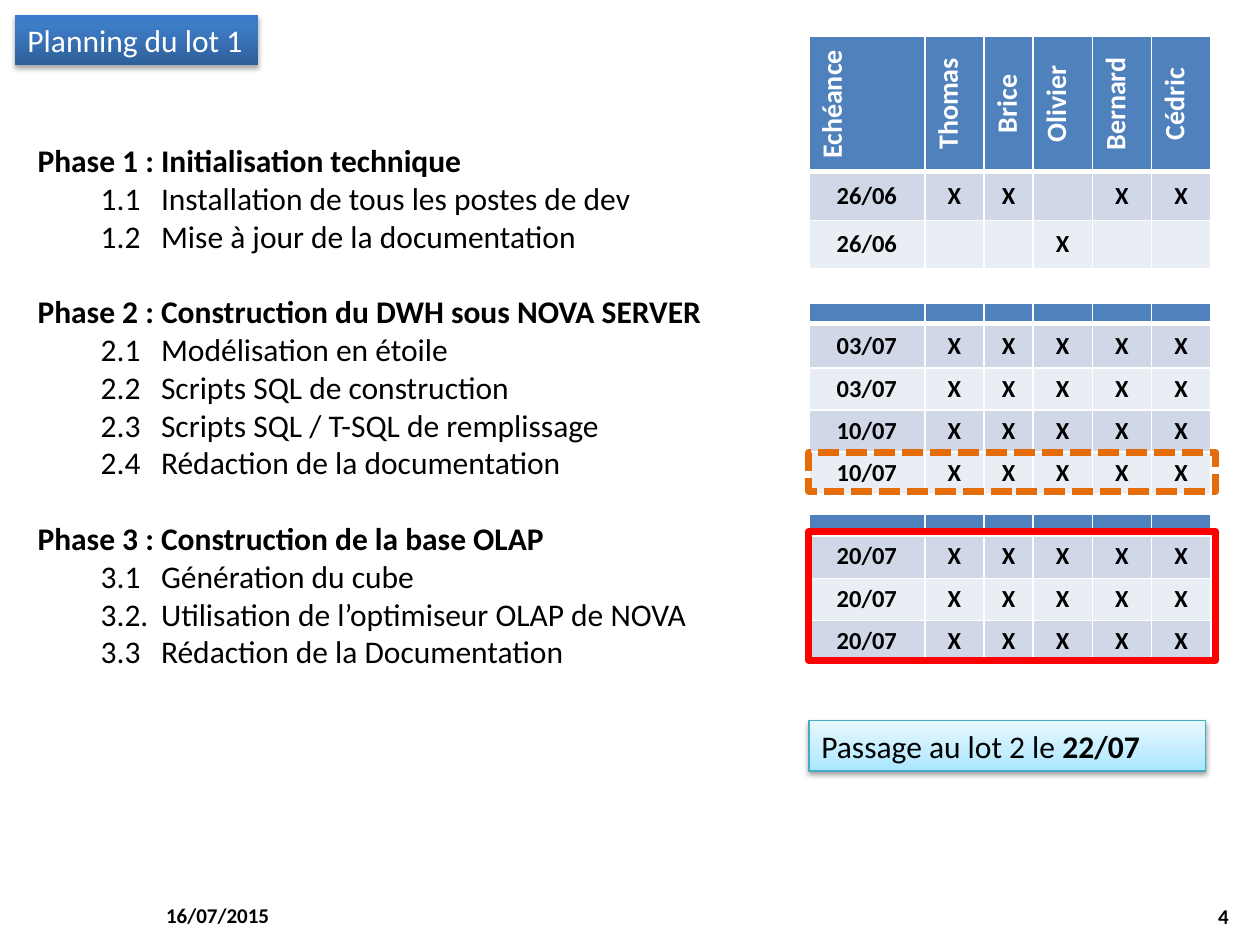
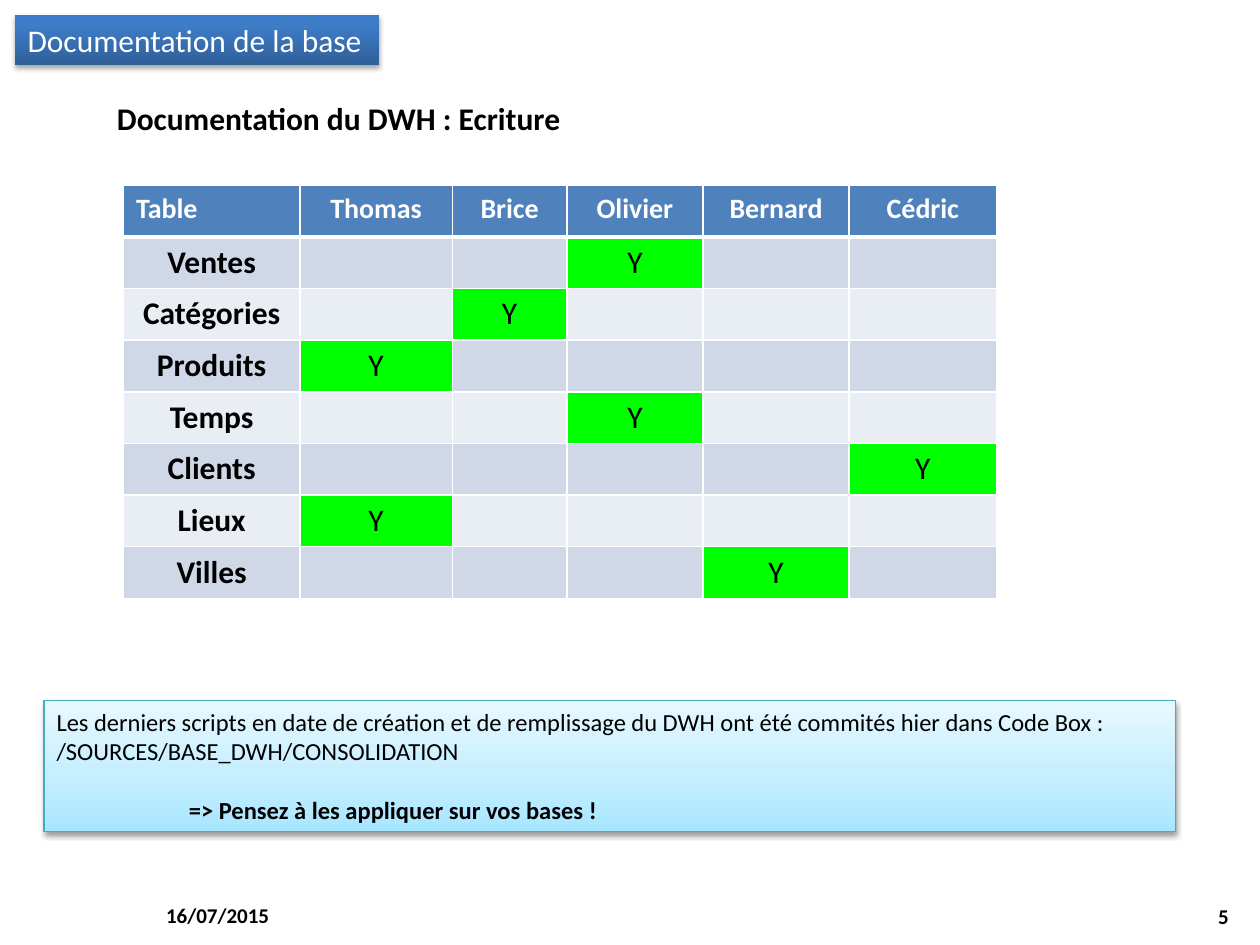
"""Build two project slides: the plan of lot 1 and the database write-up."""
from lxml.etree import SubElement
from pptx import Presentation
from pptx.dml.color import RGBColor
from pptx.enum.dml import MSO_LINE
from pptx.enum.shapes import MSO_SHAPE
from pptx.enum.text import MSO_ANCHOR, PP_ALIGN
from pptx.oxml.ns import qn
from pptx.util import Inches, Pt

FONT = "Calibri"
BLACK, WHITE, HEAD, GREEN = "000000", "FFFFFF", "4F81BD", "00FF00"
BANDS = ["D0D8E8", "E9EDF4"]
BLUE = [(0, "2F5F99"), (80, "3D7CC7"), (100, "3A7CCB")]
PALE = [(0, "A7E6FF"), (35, "C1EDFF"), (100, "E7F8FF")]
TEAM = ["Thomas", "Brice", "Olivier", "Bernard", "Cédric"]


def hue(code):
    """Turn a hex string into a colour."""
    return RGBColor.from_string(code)


def write(para, text, size, code=BLACK, bold=False):
    """Add one run, or set the size of an empty line."""
    if not text:
        para._p.get_or_add_endParaRPr().set("sz", str(size * 100))
        return
    run = para.add_run()
    run.text = text
    run.font.name, run.font.size, run.font.bold = FONT, Pt(size), bold
    run.font.color.rgb = hue(code)


deck = Presentation()
deck.slide_width, deck.slide_height = Inches(10), Inches(7.5)
plan, base = [deck.slides.add_slide(deck.slide_layouts[6]) for _ in range(2)]

for page, num in [(plan, "4"), (base, "5")]:
    for left, top, text, align in [
        (1.22, 7.06, "16/07/2015", PP_ALIGN.LEFT),
        (7.52, 7.07, num, PP_ALIGN.RIGHT),
    ]:
        foot = page.shapes.add_textbox(
            Inches(left), Inches(top), Inches(2.33), Inches(0.4)).text_frame
        foot.word_wrap = True
        foot.vertical_anchor = MSO_ANCHOR.MIDDLE
        foot.paragraphs[0].alignment = align
        write(foot.paragraphs[0], text, 12, bold=True)

phases = [
    ("Phase 1 : Initialisation technique", [
        "1.1\tInstallation de tous les postes de dev",
        "1.2\tMise à jour de la documentation"]),
    ("Phase 2 : Construction du DWH sous NOVA SERVER", [
        "2.1\tModélisation en étoile",
        "2.2\tScripts SQL de construction",
        "2.3\tScripts SQL / T-SQL de remplissage",
        "2.4\tRédaction de la documentation"]),
    ("Phase 3 : Construction de la base OLAP", [
        "3.1\tGénération du cube",
        "3.2.\tUtilisation de l’optimiseur OLAP de NOVA",
        "3.3\tRédaction de la Documentation"]),
]
steps = plan.shapes.add_textbox(
    Inches(0.2), Inches(1.07), Inches(6.52), Inches(4.34)).text_frame
steps.word_wrap = True
for rank, (name, tasks) in enumerate(phases):
    para = steps.add_paragraph() if rank else steps.paragraphs[0]
    if rank:
        para.space_before = Pt(21.6)
    write(para, name, 18, bold=True)
    for task in tasks:
        para = steps.add_paragraph()
        props = para._p.get_or_add_pPr()
        props.set("marL", str(Inches(0.98)))
        props.set("indent", str(Inches(-0.48)))
        write(para, task, 18)

lead = base.shapes.add_textbox(
    Inches(0.83), Inches(0.74), Inches(3.76), Inches(0.4)).text_frame
lead.word_wrap = False
write(lead.paragraphs[0], "Documentation du DWH : Ecriture", 18, bold=True)

slim = [0.92, 0.47, 0.39, 0.47, 0.47, 0.47]
wide = [1.4, 1.21, 0.91, 1.08, 1.16, 1.17]
full = "XXXXX"
none = [""] * 6
grids = [
    (plan, 6.42, 0.29, slim, [1.07, 0.39, 0.38], ["Echéance"] + TEAM,
     [("26/06", "XX XX"), ("26/06", "  X  ")]),
    (plan, 6.42, 2.41, slim, [0.16, 0.35, 0.33, 0.33, 0.33], none,
     [("03/07", full), ("03/07", full), ("10/07", full), ("10/07", full)]),
    (plan, 6.42, 4.08, slim, [0.16, 0.35, 0.33, 0.33], none,
     [("20/07", full)] * 3),
    (base, 0.98, 1.47, wide, [0.41] * 8, ["Table"] + TEAM,
     [("Ventes", "  Y  "), ("Catégories", " Y   "), ("Produits", "Y    "),
      ("Temps", "  Y  "), ("Clients", "    Y"), ("Lieux", "Y    "),
      ("Villes", "   Y ")]),
]
for page, left, top, cols, rows, heads, marks in grids:
    grid = page.shapes.add_table(
        len(rows), len(cols), Inches(left), Inches(top),
        Inches(sum(cols)), Inches(sum(rows))).table
    for col, size in zip(grid.columns, cols):
        col.width = Inches(size)
    for row, size in zip(grid.rows, rows):
        row.height = Inches(size)
    lines = [heads] + [[key] + [c.strip() for c in row] for key, row in marks]
    for r, line in enumerate(lines):
        for c, text in enumerate(line):
            cell = grid.cell(r, c)
            para = cell.text_frame.paragraphs[0]
            if r or c:
                para.alignment = PP_ALIGN.CENTER
            if page is plan:
                cell.vertical_anchor = MSO_ANCHOR.MIDDLE
            cell.fill.solid()
            props = cell._tc.get_or_add_tcPr()
            if r == 0:
                cell.fill.fore_color.rgb = hue(HEAD)
                write(para, text, 16 if text else 8, WHITE, True)
                if not text:
                    cell.margin_top = cell.margin_bottom = 0
                elif page is plan:
                    props.set("vert", "vert270")
            else:
                shade = GREEN if text == "Y" else BANDS[(r - 1) % 2]
                cell.fill.fore_color.rgb = hue(shade)
                write(para, text, 14 if page is plan else 18, bold=text != "Y")
            for spot, side in enumerate(["lnL", "lnR", "lnT", "lnB"]):
                thick = (r, side) in [(0, "lnB"), (1, "lnT")]
                edge = SubElement(props, qn(f"a:{side}"), w=str(Pt(3 if thick else 1)))
                ink = SubElement(edge, qn("a:solidFill"))
                SubElement(ink, qn("a:srgbClr"), val=WHITE)
                props.insert(spot, edge)

boxes = [
    (plan, 0.12, 0.12, 1.93, 0.4, BLUE, 18, [[("Planning du lot 1", False)]]),
    (base, 0.12, 0.12, 2.89, 0.4, BLUE, 18, [[("Documentation de la base", False)]]),
    (plan, 6.42, 5.72, 3.15, 0.4, PALE, 18,
     [[("Passage au lot 2 le ", False), ("22/07", True)]]),
    (base, 0.35, 5.56, 8.98, 1.04, PALE, 14,
     [[("Les derniers scripts en date de création et de remplissage du DWH "
        "ont été commités hier dans Code Box : "
        "/SOURCES/BASE_DWH/CONSOLIDATION", False)],
      [("=> Pensez à les appliquer sur vos bases !", True)]]),
]
for page, left, top, width, height, stops, size, paras in boxes:
    box = page.shapes.add_shape(
        MSO_SHAPE.RECTANGLE, Inches(left), Inches(top), Inches(width), Inches(height))
    box.fill.gradient()
    box.fill.gradient_angle = 90
    ramp = box._element.spPr.find(".//" + qn("a:gsLst"))
    ramp.clear()
    for place, code in stops:
        stop = SubElement(ramp, qn("a:gs"), pos=str(place * 1000))
        SubElement(stop, qn("a:srgbClr"), val=code)
    title = stops is BLUE
    if title:
        box.line.fill.background()
    else:
        box.line.color.rgb = hue("46AAC5")
        box.line.width = Pt(0.75)
    box.shadow.inherit = False
    glow = SubElement(
        box._element.spPr.find(qn("a:effectLst")), qn("a:outerShdw"),
        blurRad=str(Pt(3.1)), dist=str(Pt(1.8 if title else 1.6)),
        dir="5400000", rotWithShape="0")
    dark = SubElement(glow, qn("a:srgbClr"), val=BLACK)
    SubElement(dark, qn("a:alpha"), val="35000" if title else "38000")
    body = box.text_frame
    body.word_wrap = not title
    body.vertical_anchor = MSO_ANCHOR.TOP
    for rank, runs in enumerate(paras):
        para = body.add_paragraph() if rank else body.paragraphs[0]
        para.alignment = PP_ALIGN.LEFT
        if rank:
            para.space_before = Pt(17)
            para._p.get_or_add_pPr().set("marL", str(Inches(1.05)))
        for text, bold in runs:
            write(para, text, size, WHITE if title else BLACK, bold)

for top, height, code, dash in [
    (4.22, 1.02, "FF0000", None),
    (3.59, 0.31, "E46C0A", MSO_LINE.SQUARE_DOT),
]:
    frame = plan.shapes.add_shape(
        MSO_SHAPE.RECTANGLE, Inches(6.42), Inches(top), Inches(3.23), Inches(height))
    frame.fill.background()
    frame.line.color.rgb = hue(code)
    frame.line.width = Pt(4)
    if dash:
        frame.line.dash_style = dash
    frame.shadow.inherit = False

deck.save("out.pptx")
